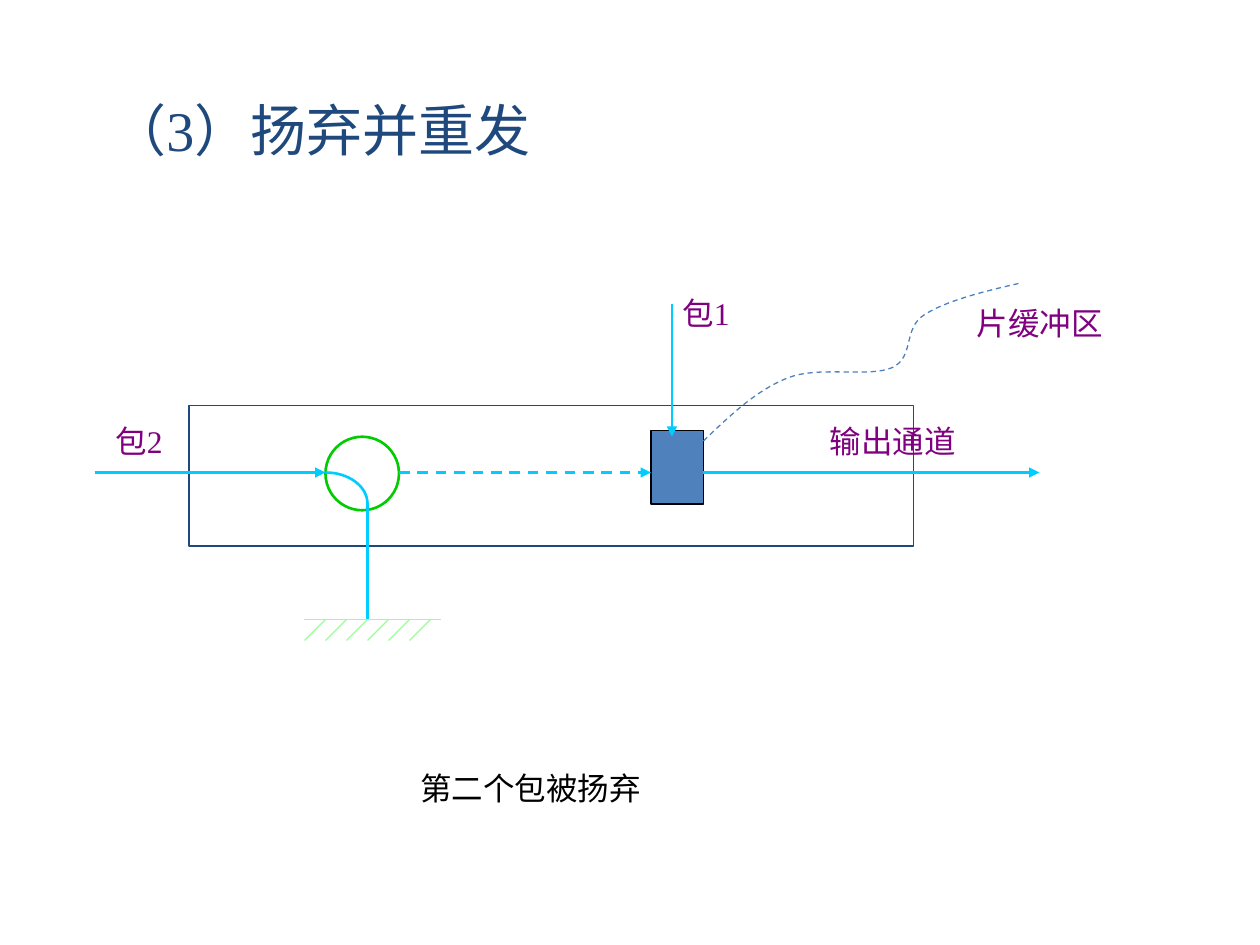
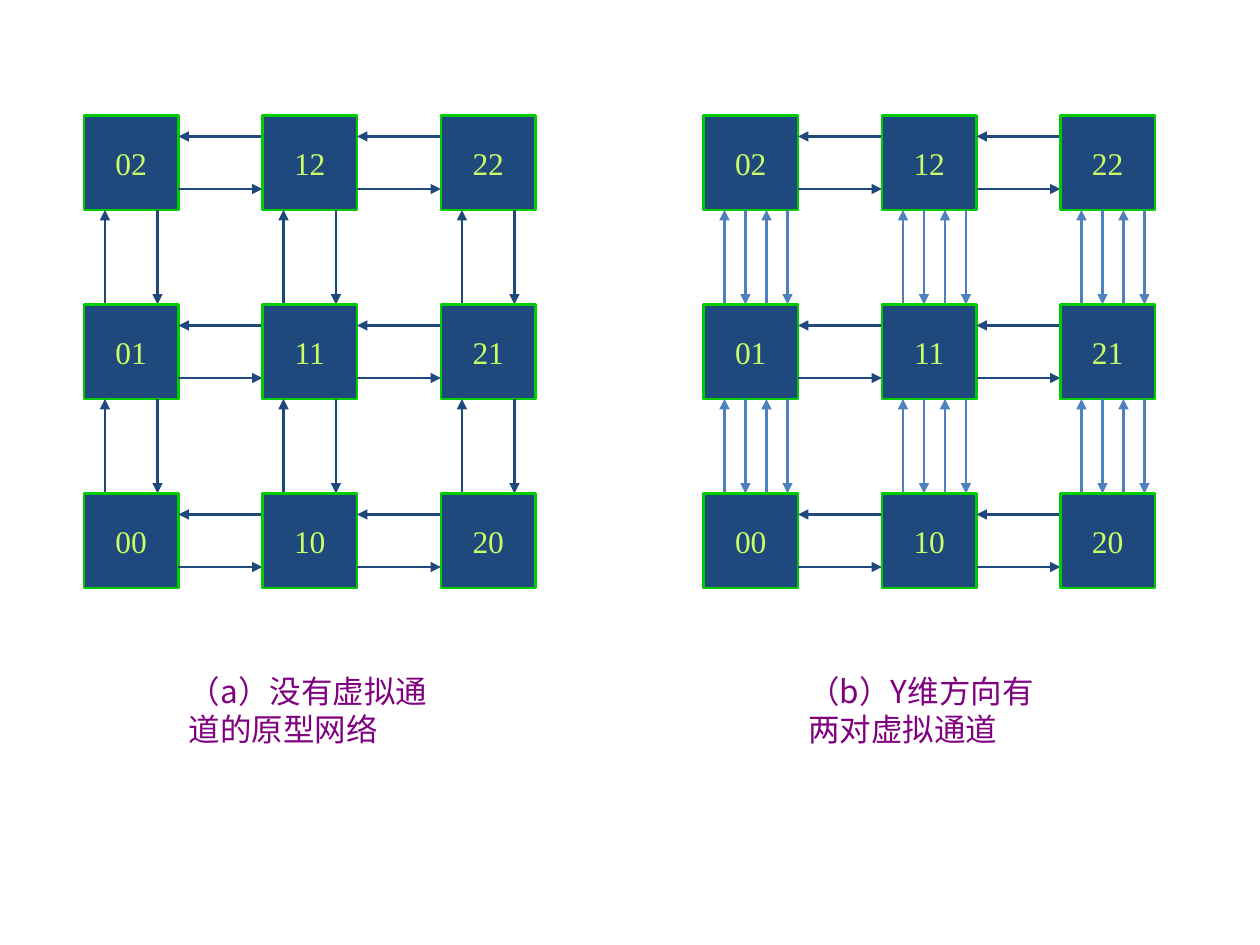
from pptx import Presentation
from pptx.dml.color import RGBColor
from pptx.enum.dml import MSO_LINE
from pptx.enum.shapes import MSO_CONNECTOR, MSO_SHAPE
from pptx.enum.text import MSO_ANCHOR, PP_ALIGN
from pptx.oxml.ns import qn
from pptx.util import Pt
from lxml.etree import SubElement

PX = 7620  # 120 px to the inch
NAVY, BLUE, CYAN = "1F497D", "4F81BD", "00CCFF"
GREEN, PALE_GREEN, LIME = "00CC00", "99FF99", "CCFF66"
PURPLE, BLACK = "800080", "000000"
SERIF, SANS = "Times New Roman", "Noto Sans CJK SC"
rgb = RGBColor.from_string


def add_line(s, x1, y1, x2, y2, color, width=1.5, arrow=True, dash=None):
    ln = s.shapes.add_connector(MSO_CONNECTOR.STRAIGHT, x1 * PX, y1 * PX, x2 * PX, y2 * PX)
    ln.line.color.rgb = rgb(color)
    ln.line.width = Pt(width)
    if dash:
        ln.line.dash_style = dash
    if arrow:
        SubElement(ln.line._get_or_add_ln(), qn("a:tailEnd"), type="triangle")
    SubElement(ln._element.spPr, qn("a:effectLst"))


def add_text(s, x, y, w, h, text, color=PURPLE, font=SERIF, size=18):
    tf = s.shapes.add_textbox(x * PX, y * PX, w * PX, h * PX).text_frame
    tf.word_wrap = True
    tf.margin_left = tf.margin_top = tf.margin_right = tf.margin_bottom = 0
    p = tf.paragraphs[0]
    p.text = text
    p.font.size, p.font.name = Pt(size), font
    p.font.color.rgb = rgb(color)


prs = Presentation()
prs.slide_width, prs.slide_height = 1200 * PX, 900 * PX
blank = prs.slide_layouts[6]

# Slide 1: discard and retransmit
s = prs.slides.add_slide(blank)
add_text(s, 105, 91, 1050, 60, "（3）扬弃并重发", NAVY, size=32)

# Router, flit buffer and switch
for kind, x, y, w, h, fill, color, width in [
    (MSO_SHAPE.RECTANGLE, 180, 386, 690, 134, None, NAVY, 0.75),
    (MSO_SHAPE.RECTANGLE, 620, 410, 50, 70, BLUE, BLACK, 0.75),
    (MSO_SHAPE.OVAL, 310, 416, 70, 70, None, GREEN, 1.5),
]:
    sp = s.shapes.add_shape(kind, x * PX, y * PX, w * PX, h * PX)
    sp.shadow.inherit = False
    if fill:
        sp.fill.solid()
        sp.fill.fore_color.rgb = rgb(fill)
    else:
        sp.fill.background()
    sp.line.color.rgb = rgb(color)
    sp.line.width = Pt(width)

# Channels
add_line(s, 380, 450, 620, 450, CYAN, dash=MSO_LINE.DASH)
add_line(s, 90, 450, 310, 450, CYAN)
add_line(s, 670, 450, 990, 450, CYAN)
add_line(s, 640, 290, 640, 416, CYAN)
add_line(s, 350, 480, 350, 590, CYAN, arrow=False)

# Curves as chained cubic segments: leader to the buffer, bend of the discarded packet
STEPS = 16
for color, width, dash, start, segments in [
    (BLUE, 0.75, MSO_LINE.DASH, (670, 420), [
        ((695, 396), (720, 372), (750, 360)),
        ((780, 348), (828, 360), (850, 350)),
        ((871, 340), (860, 313), (880, 300)),
        ((900, 287), (935, 278), (970, 270)),
    ]),
    (CYAN, 1.5, None, (310, 450), [((332, 450), (350, 463), (350, 480))]),
]:
    points, a = [], start
    for b, c, d in segments:
        for i in range(1, STEPS + 1):
            t = i / STEPS
            u = 1 - t
            points.append([
                (u**3 * a[k] + 3 * u * u * t * b[k] + 3 * u * t * t * c[k] + t**3 * d[k]) * PX
                for k in (0, 1)
            ])
        a = d
    fb = s.shapes.build_freeform(start[0] * PX, start[1] * PX)
    fb.add_line_segments(points, close=False)
    sp = fb.convert_to_shape()
    sp.shadow.inherit = False
    sp.fill.background()
    sp.line.color.rgb = rgb(color)
    sp.line.width = Pt(width)
    if dash:
        sp.line.dash_style = dash

# Ground symbol
add_line(s, 290, 590, 420, 590, PALE_GREEN, 0.75, arrow=False)
for x in range(310, 411, 20):
    add_line(s, x, 590, x - 20, 610, PALE_GREEN, 0.75, arrow=False)

# Labels
for x, y, w, label, color in [
    (110, 402, 60, "包2", PURPLE),
    (650, 280, 60, "包1", PURPLE),
    (790, 402, 200, "输出通道", PURPLE),
    (930, 290, 200, "片缓冲区", PURPLE),
    (400, 732, 340, "第二个包被扬弃", BLACK),
]:
    add_text(s, x, y, w, 48, label, color)

# Slide 2: 3 x 3 meshes without and with virtual channels
s = prs.slides.add_slide(blank)
NODE, STEP_X, STEP_Y = 90, 170, 180
for left, link_color, link_offsets, caption in [
    (80, NAVY, (20, 70), "（a）没有虚拟通道的原型网络"),
    (670, BLUE, (20, 40, 60, 80), "（b）Y维方向有两对虚拟通道"),
]:
    for row in range(3):
        for col in range(3):
            x, y = left + col * STEP_X, 110 + row * STEP_Y
            sp = s.shapes.add_shape(MSO_SHAPE.RECTANGLE, x * PX, y * PX, NODE * PX, NODE * PX)
            sp.shadow.inherit = False
            sp.fill.solid()
            sp.fill.fore_color.rgb = rgb(NAVY)
            sp.line.color.rgb = rgb(GREEN)
            sp.line.width = Pt(1.5)
            tf = sp.text_frame
            tf.word_wrap = False
            tf.vertical_anchor = MSO_ANCHOR.MIDDLE
            p = tf.paragraphs[0]
            p.text = f"{col}{2 - row}"
            p.alignment = PP_ALIGN.CENTER
            p.font.size, p.font.name = Pt(18), SERIF
            p.font.color.rgb = rgb(LIME)

            # Links to the right and downward neighbours
            if col < 2:
                x1, x2 = x + NODE, x + STEP_X
                add_line(s, x2, y + 20, x1, y + 20, NAVY)
                add_line(s, x1, y + 70, x2, y + 70, NAVY)
            if row < 2:
                y1, y2 = y + NODE, y + STEP_Y
                for i, dx in enumerate(link_offsets):
                    start, end = (y1, y2) if i % 2 else (y2, y1)
                    add_line(s, x + dx, start, x + dx, end, link_color)
    add_text(s, left + 100, 640, 240, 144, caption, font=SANS)

prs.save("out.pptx")
